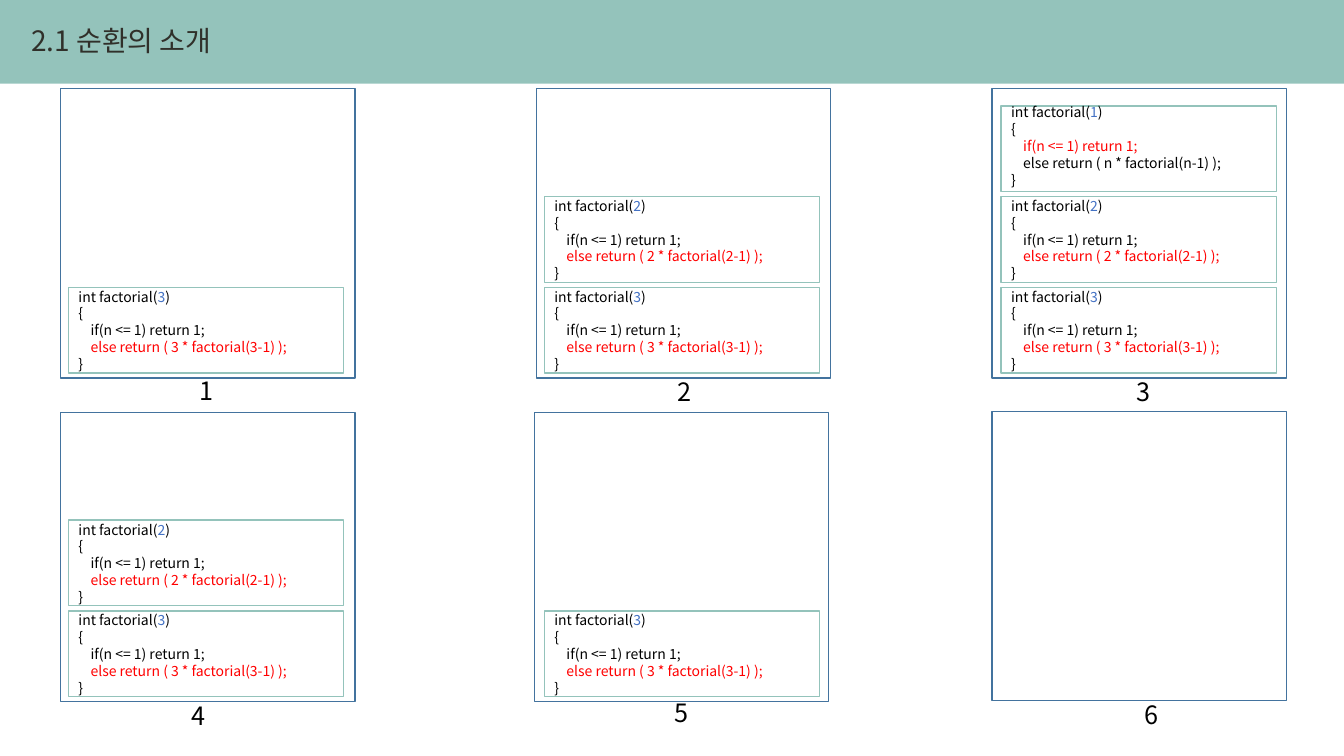
import pptx
import pptx.util
import pptx.dml.color
import pptx.enum.shapes
import pptx.enum.text

Inches = pptx.util.Inches
Pt = pptx.util.Pt
RGBColor = pptx.dml.color.RGBColor

TEAL = RGBColor(0x94, 0xC3, 0xBB)
WHITE = RGBColor(0xFF, 0xFF, 0xFF)
TITLE_GRAY = RGBColor(0x30, 0x30, 0x2A)
BLACK = RGBColor(0, 0, 0)
BLUE = RGBColor(0x44, 0x72, 0xC4)
RED = RGBColor(0xFF, 0, 0)
FRAME_BLUE = RGBColor(0x43, 0x73, 0x9E)
FONT = "Noto Sans CJK KR"

deck = pptx.Presentation()
deck.slide_width = Inches(13.33)
deck.slide_height = Inches(7.5)
slide = deck.slides.add_slide(deck.slide_layouts[6])
slide.background.fill.solid()
slide.background.fill.fore_color.rgb = TEAL


def add_box(left, top, width, height, fill=None, line=None):
    box = slide.shapes.add_shape(
        pptx.enum.shapes.MSO_SHAPE.RECTANGLE,
        Inches(left), Inches(top), Inches(width), Inches(height))
    box.shadow.inherit = False
    if fill is None:
        box.fill.background()
    else:
        box.fill.solid()
        box.fill.fore_color.rgb = fill
    if line is None:
        box.line.fill.background()
    else:
        box.line.color.rgb = line
        box.line.width = Pt(1)


def add_text(left, top, width, height, lines, size, spacing=None):
    frame = slide.shapes.add_textbox(
        Inches(left), Inches(top), Inches(width), Inches(height)).text_frame
    frame_format = {
        "word_wrap": True,
        "auto_size": pptx.enum.text.MSO_AUTO_SIZE.SHAPE_TO_FIT_TEXT,
    }
    for name, value in frame_format.items():
        setattr(frame, name, value)
    for index, (indent, pieces) in enumerate(lines):
        paragraph = frame.paragraphs[0] if index == 0 else frame.add_paragraph()
        if spacing:
            paragraph.line_spacing = spacing
        if indent:
            paragraph._p.get_or_add_pPr().set("marL", str(Inches(indent)))
        for words, color in pieces:
            run = paragraph.add_run()
            run.text = words
            for name, value in {"size": Pt(size), "name": FONT}.items():
                setattr(run.font, name, value)
            run.font.color.rgb = color
            run_properties = run.font._element
            east_asian = run_properties.makeelement(
                pptx.oxml.ns.qn("a:ea"), {"typeface": FONT})
            run_properties.append(east_asian)


add_box(0, 0.83, 13.33, 6.67, fill=WHITE)
add_text(0.21, 0.18, 4.44, 0.44, [(0, [("2.1 순환의 소개", TITLE_GRAY)])], 20)

INDENT = 0.12
CALL_STEP = 0.9
steps = [
    (0.60, 0.88, 0.68, [3], 1.88, 3.67),
    (5.32, 0.88, 5.40, [3, 2], 6.62, 3.68),
    (9.84, 0.88, 9.93, [3, 2, 1], 11.17, 3.68),
    (0.60, 4.09, 0.68, [3, 2], 1.80, 6.90),
    (5.30, 4.09, 5.40, [3], 6.59, 6.87),
    (9.84, 4.08, 9.93, [], 11.25, 6.89),
]

for number, (frame_left, frame_top, call_left, calls, label_left, label_top) in enumerate(steps, 1):
    for depth, n in enumerate(calls):
        call_top = frame_top + 1.97 - depth * CALL_STEP
        is_base = n == 1
        factor = "n" if is_base else n
        code = [
            (0, [("int factorial(", BLACK), (str(n), BLUE), (")", BLACK)]),
            (0, [("{", BLACK)]),
            (INDENT, [("if(n <= 1) return 1;", RED if is_base else BLACK)]),
            (INDENT, [(f"else return ( {factor} * factorial({factor}-1) );",
                       BLACK if is_base else RED)]),
            (0, [("}", BLACK)]),
        ]
        add_box(call_left, call_top, 2.73, 0.85, line=TEAL)
        add_text(call_left, call_top - (0.07 if is_base else 0.04), 3.12, 0.94, code, 10)
    add_box(frame_left, frame_top, 2.92, 2.87, line=FRAME_BLUE)
    add_text(label_left, label_top, 0.35, 0.4, [(0, [(str(number), BLACK)])], 18)

deck.save("out.pptx")
